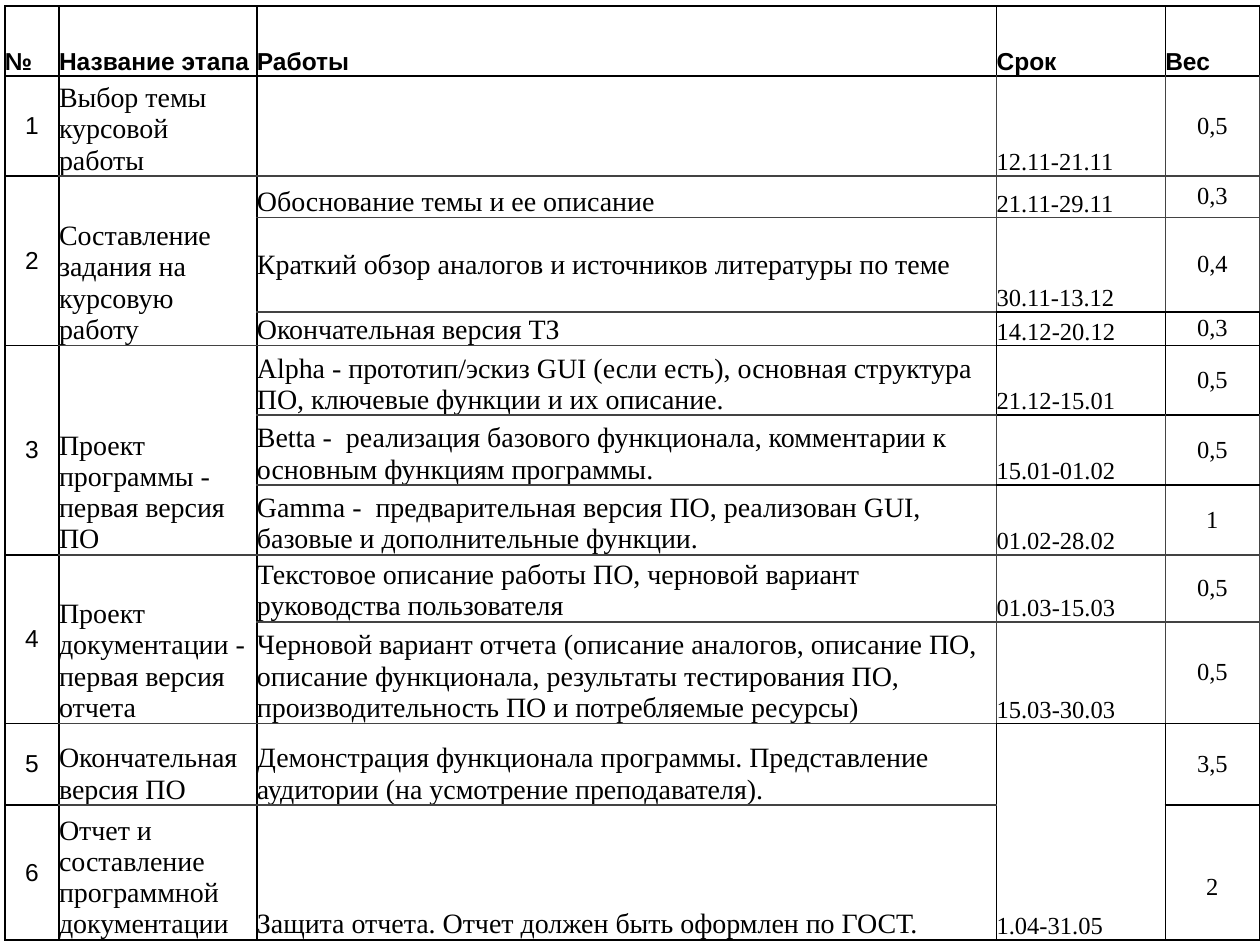
"""Build a slide with the stage plan of a course project as one table."""
from dataclasses import dataclass
from typing import Any

from lxml.etree import SubElement
from pptx import Presentation
from pptx.dml.color import RGBColor as Rgb
from pptx.enum.text import MSO_ANCHOR as Anchor, PP_ALIGN as Align
from pptx.oxml.ns import qn
from pptx.util import Cm, Pt


@dataclass(frozen=True)
class Theme:
    black: str = "000000"
    gray: str = "434343"
    white: str = "FFFFFF"
    sans: str = "Arial"
    serif: str = "Times New Roman"
    small: Pt = Pt(14)
    large: Pt = Pt(16)
    line: Pt = Pt(1)


@dataclass(frozen=True)
class Row:
    high: float
    texts: tuple[str, str, str, str, str]
    soft: bool = False
    under: bool = False


@dataclass(frozen=True)
class Style:
    font: dict[str, Any]
    anchor: Any = Anchor.BOTTOM
    align: Any = Align.LEFT


THEME = Theme()
WIDTHS = (1.09, 3.99, 14.91, 3.4, 1.9)
ROWS = (
    Row(1.41, ("№", "Название этапа", "Работы", "Срок", "Вес")),
    Row(2.02, ("1", "Выбор темы курсовой работы", "", "12.11-21.11", "0,5"), True, True),
    Row(0.83, ("2", "Составление задания на курсовую работу",
               "Обоснование темы и ее описание", "21.11-29.11", "0,3"), True, True),
    Row(1.91, ("", "", "Краткий обзор аналогов и источников литературы по теме",
               "30.11-13.12", "0,4"), True),
    Row(0.67, ("", "", "Окончательная версия ТЗ", "14.12-20.12", "0,3")),
    Row(1.41, ("3", "Проект программы - первая версия ПО",
               "Alpha - прототип/эскиз GUI (если есть), основная структура ПО, "
               "ключевые функции и их описание.", "21.12-15.01", "0,5")),
    Row(1.41, ("", "", "Betta -  реализация базового функционала, комментарии к "
               "основным функциям программы.", "15.01-01.02", "0,5"), True),
    Row(1.41, ("", "", "Gamma -  предварительная версия ПО, реализован GUI, базовые и "
               "дополнительные функции.", "01.02-28.02", "1"), True, True),
    Row(1.35, ("4", "Проект документации - первая версия отчета",
               "Текстовое описание работы ПО, черновой вариант руководства пользователя",
               "01.03-15.03", "0,5"), True, True),
    Row(2.04, ("", "", "Черновой вариант отчета (описание аналогов, описание ПО, описание "
               "функционала, результаты тестирования ПО, производительность ПО и "
               "потребляемые ресурсы)", "15.03-30.03", "0,5"), True),
    Row(1.65, ("5", "Окончательная версия ПО",
               "Демонстрация функционала программы. Представление аудитории "
               "(на усмотрение преподавателя).", "1.04-31.05", "3,5")),
    Row(2.72, ("6", "Отчет и составление программной документации",
               "Защита отчета. Отчет должен быть оформлен по ГОСТ.", "", "2")),
)
SPANS = ((2, 4, 0), (2, 4, 1), (5, 7, 0), (5, 7, 1), (8, 9, 0), (8, 9, 1), (10, 11, 3))
LAST = len(ROWS) - 1

SMALL = {"name": THEME.serif, "size": THEME.small, "bold": False}
LARGE = SMALL | {"size": THEME.large}
SANS = SMALL | {"name": THEME.sans}
HEAD = Style(SANS | {"bold": True})
BODY = (
    Style(SANS, Anchor.MIDDLE, Align.CENTER),
    Style(LARGE),
    Style(LARGE),
    Style(SMALL),
    Style(SMALL, Anchor.MIDDLE, Align.CENTER),
)
SPECIAL = {
    (3, 2): Style(LARGE, Anchor.MIDDLE),
    (LAST, 4): Style(SMALL, Anchor.BOTTOM, Align.CENTER),
}


def edges(row: int, col: int) -> dict[str, str]:
    """Return the line colour of each side of a cell."""
    def shade(soft: bool) -> str:
        return THEME.gray if soft else THEME.black

    def rule(above: int) -> bool:
        inner = 0 < above < LAST
        return inner and (col in (1, 2) or col > 2 and ROWS[above].under)

    soft = row > 0 and ROWS[row].soft
    return {
        "lnL": shade(soft and col > 2),
        "lnR": shade(soft and col > 1),
        "lnT": shade(rule(row - 1)),
        "lnB": shade(rule(row)),
    }


def outline(cell: Any, sides: dict[str, str]) -> None:
    """Draw the four border lines of a cell."""
    props = cell._tc.get_or_add_tcPr()
    for side, color in sides.items():
        line = SubElement(props, qn(f"a:{side}"), w=str(THEME.line))
        fill = SubElement(line, qn("a:solidFill"))
        SubElement(fill, qn("a:srgbClr"), val=color)


def write(cell: Any, text: str, style: Style) -> None:
    """Put styled text into a cell without insets."""
    sides = ("left", "right", "top", "bottom")
    form = {f"margin_{side}": 0 for side in sides} | {"vertical_anchor": style.anchor}
    for key, value in form.items():
        setattr(cell, key, value)
    cell.text = text
    para = cell.text_frame.paragraphs[0]
    para.alignment = style.align
    for font in [para.font] + [run.font for run in para.runs]:
        for key, value in style.font.items():
            setattr(font, key, value)
        font.color.rgb = Rgb.from_string(THEME.black)


def draw(slide: Any) -> None:
    """Draw the stage plan on the slide."""
    frame = slide.shapes.add_table(
        len(ROWS), len(WIDTHS), Cm(0.1), Cm(0.12),
        Cm(sum(WIDTHS)), Cm(sum(row.high for row in ROWS)))
    table = frame.table
    for key in ("first_row", "horz_banding"):
        setattr(table, key, False)
    for col, wide in zip(table.columns, WIDTHS):
        col.width = Cm(wide)
    for r, row in enumerate(ROWS):
        table.rows[r].height = Cm(row.high)
        for c, text in enumerate(row.texts):
            cell = table.cell(r, c)
            style = SPECIAL.get((r, c), BODY[c] if r else HEAD)
            outline(cell, edges(r, c))
            write(cell, text, style)
            if r and c:
                cell.fill.solid()
                cell.fill.fore_color.rgb = Rgb.from_string(THEME.white)
            else:
                cell.fill.background()
    table.cell(LAST, 4).margin_bottom = Cm(0.8)
    for top, end, col in SPANS:
        table.cell(top, col).merge(table.cell(end, col))


def main() -> None:
    """Make the deck and save it."""
    deck = Presentation()
    deck.slide_width, deck.slide_height = Cm(25.4), Cm(19.05)
    draw(deck.slides.add_slide(deck.slide_layouts[6]))
    deck.save("out.pptx")


if __name__ == "__main__":
    main()
